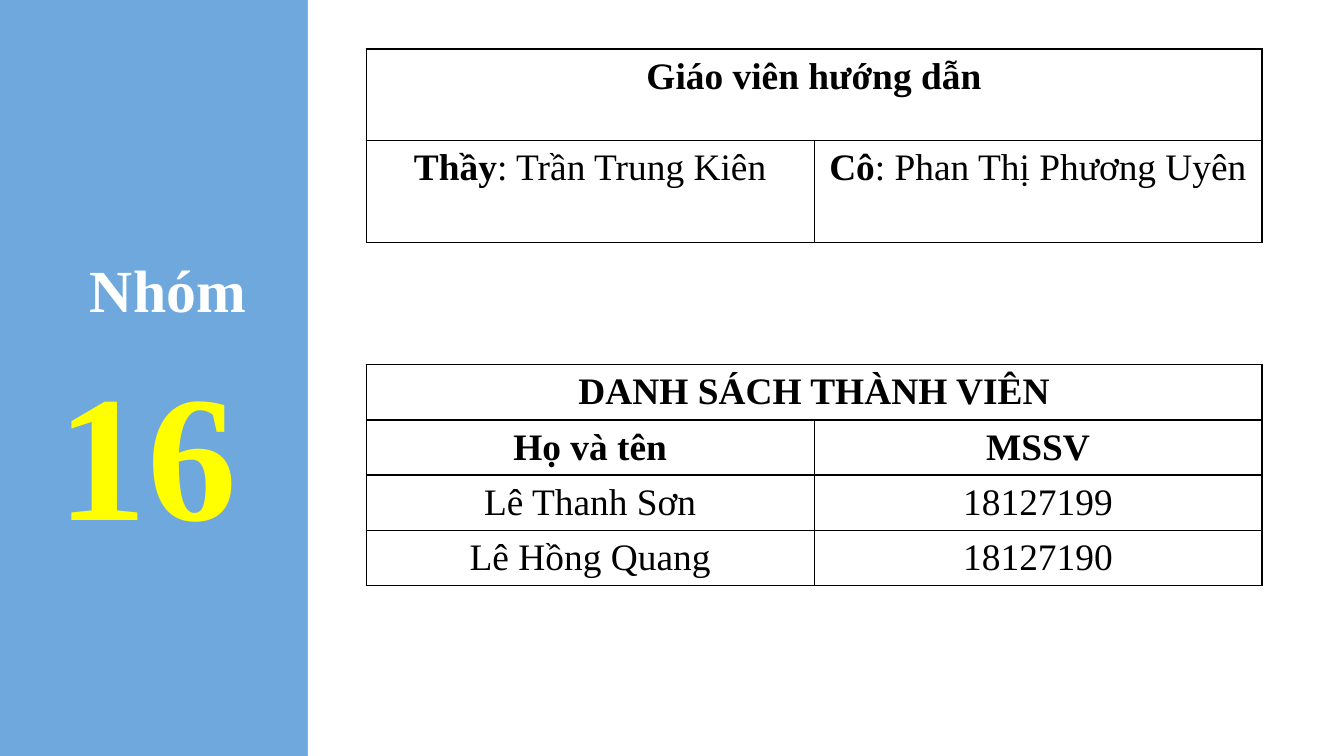
from lxml import etree
from pptx import Presentation
from pptx.dml.color import RGBColor
from pptx.enum.shapes import MSO_SHAPE
from pptx.enum.text import MSO_ANCHOR, PP_ALIGN
from pptx.oxml.ns import qn
from pptx.util import Pt

PX = 4572  # 200 px to the inch
RECT = MSO_SHAPE.RECTANGLE
TOP = MSO_ANCHOR.TOP
LEFT, MID = PP_ALIGN.LEFT, PP_ALIGN.CENTER
BLUE, WHITE, BLACK, YELLOW = "6FA8DC", "FFFFFF", "000000", "FFFF00"


def color(code):
    return RGBColor.from_string(code)


def write(frame, *runs, size=20, ink=BLACK, align=MID):
    """Fill a text frame with (text, bold) runs in one paragraph."""
    para = frame.paragraphs[0]
    para.alignment = align
    para.line_spacing = 1.0
    for text, bold in runs:
        run = para.add_run()
        run.text = text
        font = run.font
        font.name, font.size, font.bold = "Times New Roman", Pt(size), bold
        font.color.rgb = color(ink)


def border(cell, ink=BLACK, width=0.75):
    props = cell._tc.get_or_add_tcPr()
    for n, side in enumerate(("a:lnL", "a:lnR", "a:lnT", "a:lnB")):
        line = etree.Element(qn(side), w=str(int(Pt(width))))
        fill = etree.SubElement(line, qn("a:solidFill"))
        etree.SubElement(fill, qn("a:srgbClr"), val=ink)
        props.insert(n, line)


class Deck:
    def __init__(self, wide, high):
        self.prs = Presentation()
        self.prs.slide_width, self.prs.slide_height = wide * PX, high * PX
        self.slide = self.prs.slides.add_slide(self.prs.slide_layouts[5])
        self.shapes = self.slide.shapes

    def back(self, ink):
        fill = self.slide.background.fill
        fill.solid()
        fill.fore_color.rgb = color(ink)

    def panel(self, box, ink):
        shape = self.shapes.add_shape(RECT, *[v * PX for v in box])
        shape.shadow.inherit = False
        shape.fill.solid()
        shape.fill.fore_color.rgb = color(ink)
        shape.line.fill.background()

    def inset(self, frame):
        frame.word_wrap = True
        frame.vertical_anchor = TOP
        frame.margin_left = frame.margin_right = 20 * PX
        frame.margin_top = frame.margin_bottom = 20 * PX

    def title(self, box, text, **style):
        shape = self.shapes.title
        shape.left, shape.top, shape.width, shape.height = [v * PX for v in box]
        self.inset(shape.text_frame)
        write(shape.text_frame, (text, True), **style)

    def label(self, box, text, **style):
        frame = self.shapes.add_textbox(*[v * PX for v in box]).text_frame
        self.inset(frame)
        write(frame, (text, True), **style)

    def table(self, left, top, wide, highs, rows):
        """Draw rows of cells; a row with one cell spans the table."""
        cols = max(len(row) for row in rows)
        grid = self.shapes.add_table(
            len(rows), cols, left * PX, top * PX, wide * PX, sum(highs) * PX
        ).table
        grid.first_row = grid.horz_banding = False
        for r, row in enumerate(rows):
            grid.rows[r].height = highs[r] * PX
            for cell in grid.rows[r].cells:
                cell.margin_bottom = 4 * PX
                cell.fill.background()
                border(cell)
            if len(row) < cols:
                grid.cell(r, 0).merge(grid.cell(r, cols - 1))
            for c, runs in enumerate(row):
                write(grid.cell(r, c).text_frame, *runs)


def main():
    deck = Deck(2000, 1125)

    # Blue side band and white panel
    deck.back(BLUE)
    deck.panel((458, 0, 1542, 1125), WHITE)

    # Group name
    deck.label((66, 488, 368, 274), "16", size=96, ink=YELLOW, align=LEFT)
    deck.title((44, 356, 412, 188), "Nhóm", size=32, ink=WHITE)

    # Teachers
    deck.table(545, 73, 1333, [136, 152], [
        [[("Giáo viên hướng dẫn", True)]],
        [[("Thầy", True), (": Trần Trung Kiên", False)],
         [("Cô", True), (": Phan Thị Phương Uyên", False)]],
    ])

    # Members
    names = [("Lê Thanh Sơn", "18127199"), ("Lê Hồng Quang", "18127190")]
    rows = [[[("DANH SÁCH THÀNH VIÊN", True)]],
            [[("Họ và tên", True)], [("MSSV", True)]]]
    rows += [[[(text, False)] for text in pair] for pair in names]
    deck.table(545, 543, 1333, [82] * len(rows), rows)

    deck.prs.save("out.pptx")


if __name__ == "__main__":
    main()
